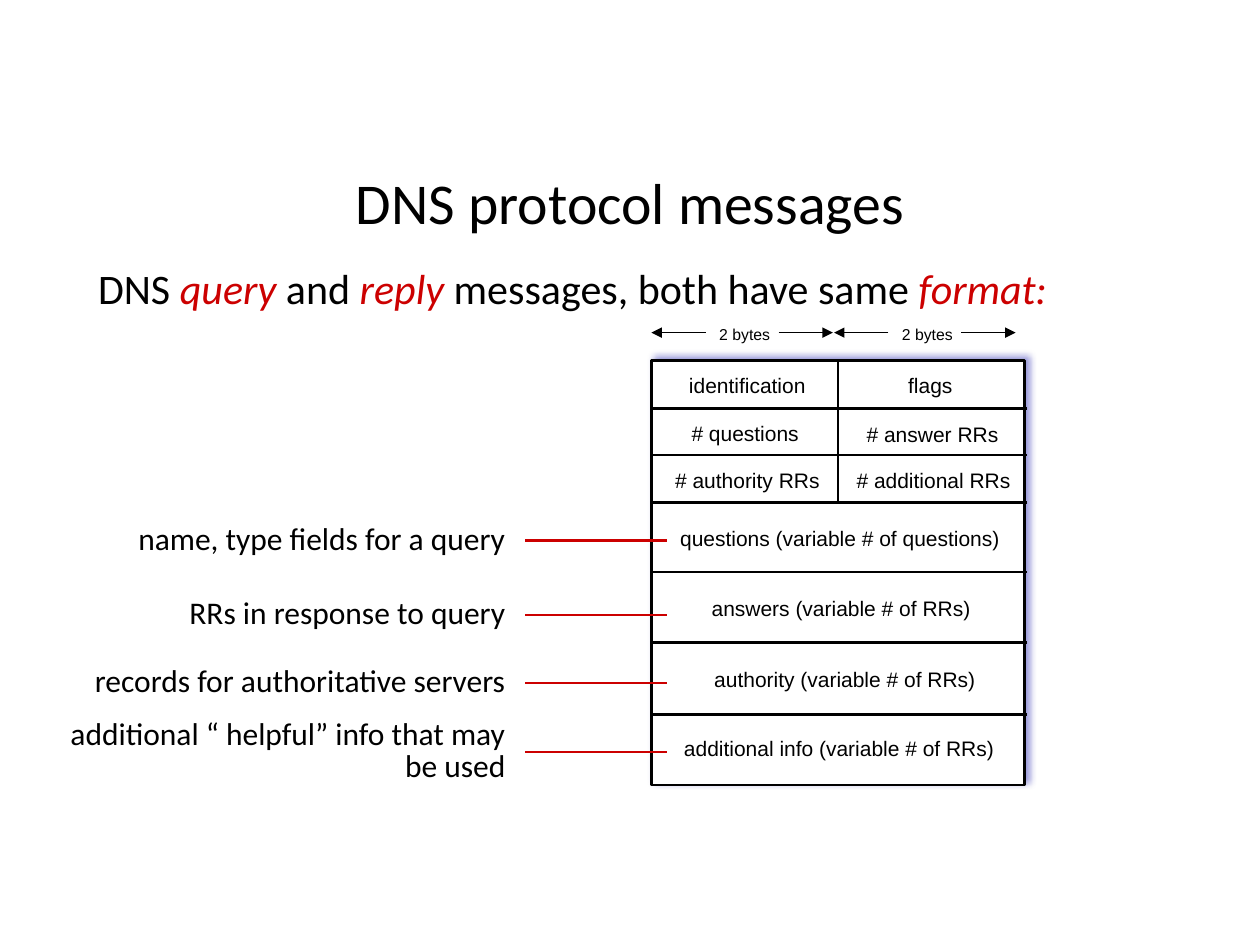
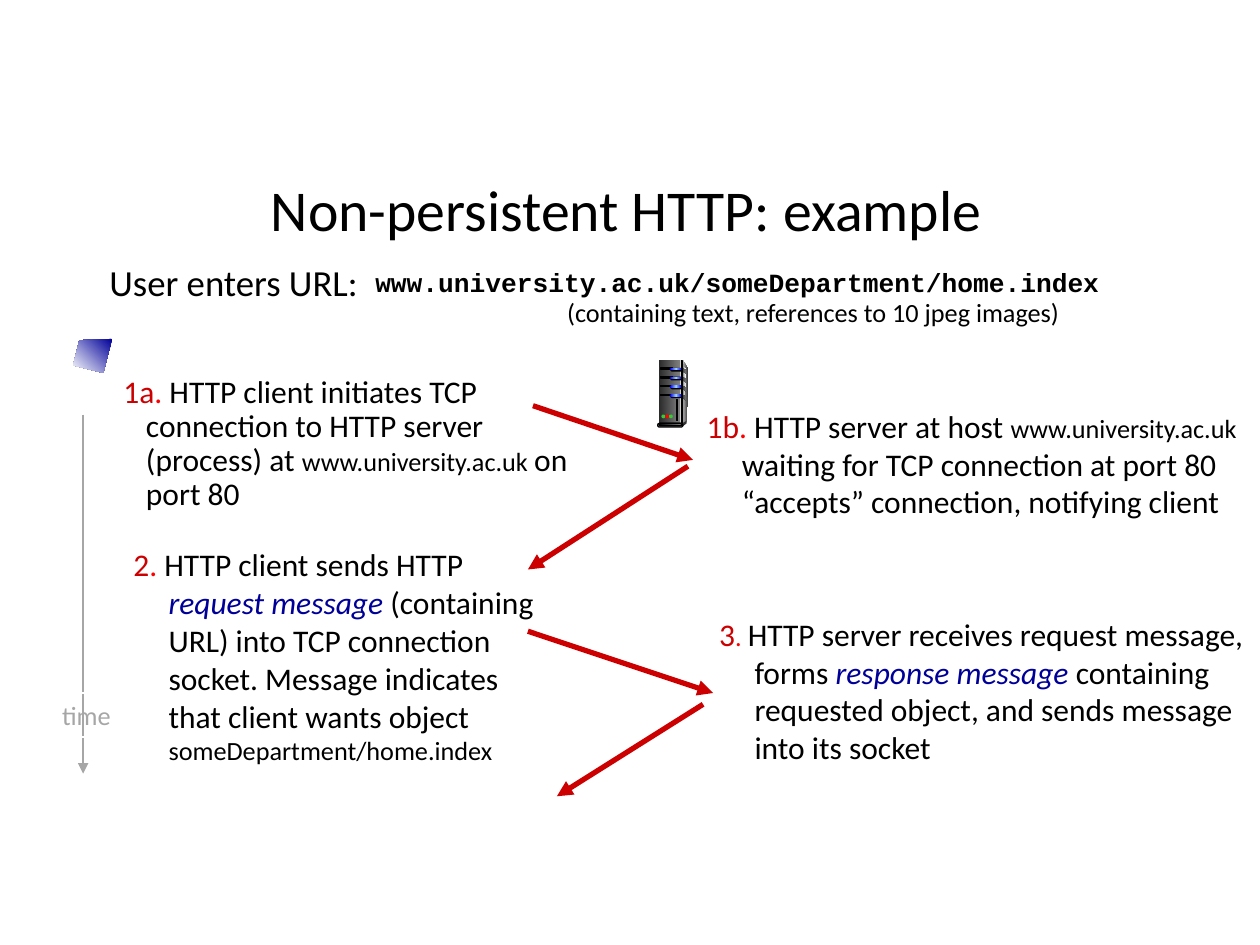
"""Build two network protocol slides: DNS message format and an HTTP example."""
import pptx
import pptx.dml.color
import pptx.enum.shapes
import pptx.enum.text
import pptx.oxml
import pptx.oxml.ns
import pptx.util
from lxml import etree

Inches = pptx.util.Inches
Pt = pptx.util.Pt
Kind = pptx.enum.shapes.MSO_SHAPE
Align = pptx.enum.text.PP_ALIGN
Anchor = pptx.enum.text.MSO_ANCHOR
Fit = pptx.enum.text.MSO_AUTO_SIZE
qn = pptx.oxml.ns.qn

BLACK, WHITE, RED, DOT, NAVY, GREY = "000000", "FFFFFF", "CC0000", "FF0000", "000099", "A6A6A6"
DARK, MID, PALE, COAL = "292929", "808080", "DDDDDD", "333333"
GLOW = ["0000FF", "99CCFF", "0000FF"]
ITAL = {"italic": True}


def rgb(code):
    """Turn a hex string into a colour."""
    return pptx.dml.color.RGBColor.from_string(code)


def put(item, values):
    """Set every attribute named in a dict."""
    for name, value in values.items():
        setattr(item, name, value)


def paint(shape, fill=None, line=None, width=0.75, angle=0):
    """Set fill (one colour, a gradient list or none) and outline."""
    shape.shadow.inherit = False
    if isinstance(fill, list):
        shape.fill.gradient()
        shape.fill.gradient_angle = angle
        stops = shape._element.spPr.find(".//" + qn("a:gsLst"))
        for stop in list(stops):
            stops.remove(stop)
        for i, code in enumerate(fill):
            stop = etree.SubElement(stops, qn("a:gs"), pos=str(100000 * i // (len(fill) - 1)))
            etree.SubElement(stop, qn("a:srgbClr"), val=code)
    elif fill:
        shape.fill.solid()
        shape.fill.fore_color.rgb = rgb(fill)
    else:
        shape.fill.background()
    if line:
        shape.line.color.rgb = rgb(line)
        shape.line.width = Pt(width)
    else:
        shape.line.fill.background()


def block(shapes, kind, box, fill=None, line=None, width=0.75):
    """Add a painted preset shape."""
    shape = shapes.add_shape(kind, *map(Inches, box))
    if kind == Kind.ROUNDED_RECTANGLE:
        shape.adjustments[0] = 0.5
    paint(shape, fill, line, width)
    return shape


def poly(shapes, x, y, points, fill, angle=0):
    """Add a closed outline whose points are offsets from x, y."""
    spots = [(Inches(x + dx), Inches(y + dy)) for dx, dy in points]
    maker = shapes.build_freeform(*spots[0])
    maker.add_line_segments(spots[1:], close=True)
    paint(maker.convert_to_shape(), fill, angle=angle)


def line(shapes, start, end, color=BLACK, width=1.5, arrow=False):
    """Add a straight line, with an arrowhead at its end on request."""
    ends = [Inches(v) for v in (*start, *end)]
    link = shapes.add_connector(pptx.enum.shapes.MSO_CONNECTOR.STRAIGHT, *ends)
    link.line.color.rgb = rgb(color)
    link.line.width = Pt(width)
    if arrow:
        etree.SubElement(link.line._get_or_add_ln(), qn("a:tailEnd"), type="triangle")
    etree.SubElement(link._element.spPr, qn("a:effectLst"))


def write(shape, runs, size, font="Calibri", para=None, frame=None, indent=None):
    """Fill a shape with one paragraph of (text, colour, format) runs."""
    put(shape.text_frame, {"word_wrap": True, **(frame or {})})
    first = shape.text_frame.paragraphs[0]
    if indent:
        props = first._p.get_or_add_pPr()
        for key, value in zip(("marL", "indent"), indent):
            props.set(key, str(Inches(value)))
    put(first, {"alignment": Align.LEFT, **(para or {})})
    for words, color, look in runs:
        run = first.add_run()
        run.text = words
        put(run.font, {"size": Pt(size), "name": font, **look})
        run.font.color.rgb = rgb(color)


def text(shapes, box, runs, size, **look):
    """Add a text box; a plain string becomes one black run."""
    if isinstance(runs, str):
        runs = [(runs, BLACK, {})]
    write(shapes.add_textbox(*map(Inches, box)), runs, size, **look)


def page(deck, title, left, top):
    """Add a title-only slide with its title in place."""
    slide = deck.slides.add_slide(deck.slide_layouts[5])
    head = slide.shapes.title
    put(head, dict(zip(("left", "top", "width", "height"), map(Inches, (left, top, 8.62, 0.73)))))
    write(head, [(title, BLACK, {})], 33, para={"alignment": Align.CENTER},
          frame={"vertical_anchor": Anchor.MIDDLE, "auto_size": Fit.NONE})
    return slide.shapes


def ruler(shapes, x, y):
    """Draw a two-byte width mark with its outward arrows."""
    text(shapes, (x + 0.44, y - 0.11, 0.61, 0.25), "2 bytes", 9, font="Arial",
         frame={"word_wrap": False, "auto_size": Fit.SHAPE_TO_FIT_TEXT})
    for start, end in ((1.01, 1.44), (0.43, 0)):
        line(shapes, (x + start, y), (x + end, y), width=0.75, arrow=True)


def record(shapes, x, y):
    """Draw the message layout with its fields and width marks."""
    wide, tall, half = 2.96, 3.37, 1.48
    frame = block(shapes, Kind.RECTANGLE, (x, y, wide, tall), WHITE, BLACK, 1.5)
    glow = frame._element.spPr.find(qn("a:effectLst"))
    cast = etree.SubElement(glow, qn("a:outerShdw"), blurRad=str(Pt(4)), dist=str(Pt(3)),
                            dir="18900000", algn="ctr", rotWithShape="0")
    tint = etree.SubElement(cast, qn("a:srgbClr"), val="0000A3")
    etree.SubElement(tint, qn("a:alpha"), val="40000")
    for drop in (0.38, 0.75, 1.13, 1.68, 2.24, 2.81):
        line(shapes, (x - 0.01, y + drop), (x + wide + 0.02, y + drop))
    line(shapes, (x + half, y), (x + half, y + 1.13))
    fields = [("identification", 0.2, 0.05, 1.13), ("flags", 1.94, 0.05, 0.56),
              ("# questions", 0.22, 0.43, 1.06), ("# answer RRs", 1.61, 0.44, 1.26),
              ("# authority RRs", 0.09, 0.8, 1.36), ("# additional RRs", 1.53, 0.8, 1.43),
              ("questions (variable # of questions)", 0.13, 1.26, 2.76),
              ("answers (variable # of RRs)", 0.38, 1.82, 2.27),
              ("authority (variable # of RRs)", 0.4, 2.38, 2.29),
              ("additional info (variable # of RRs)", 0.16, 2.93, 2.68)]
    for words, dx, dy, width in fields:
        text(shapes, (x + dx, y + dy, width, 0.3), words, 12, font="Arial",
             frame={"word_wrap": False, "auto_size": Fit.SHAPE_TO_FIT_TEXT})
    for dx in (0, 1.45):
        ruler(shapes, x + dx, y - 0.22)


def note(shapes, x, y, words, tall=0.36):
    """Write a right-aligned note centred on y, with a red pointer."""
    text(shapes, (x, y - tall / 2, 3.78, tall), words, 18,
         para={"alignment": Align.RIGHT, "line_spacing": 0.85},
         frame={"vertical_anchor": Anchor.MIDDLE, "auto_size": Fit.SHAPE_TO_FIT_TEXT})
    line(shapes, (x + 4.96, y), (x + 3.84, y), RED)


def dns(deck):
    """Build the DNS message slide."""
    shapes = page(deck, "DNS protocol messages", 0.69, 1.23)
    text(shapes, (0.57, 2.08, 8.52, 0.42),
         [("DNS ", BLACK, {}), ("query ", RED, ITAL), ("and ", BLACK, {}), ("reply", RED, ITAL),
          (" messages, both have same ", BLACK, {}), ("format:", RED, ITAL)],
         24, para={"line_spacing": 0.9}, indent=(0.11, 0))
    record(shapes.add_group_shape().shapes, 5.17, 2.86)
    note(shapes, 0.33, 4.29, "name, type fields for a query")
    note(shapes, 0.33, 4.88, "RRs in response to query")
    note(shapes, 0.33, 5.42, "records for authoritative servers")
    note(shapes, 0.33, 5.97, "additional “ helpful” info that may be used", 0.62)


def server(shapes, x, y):
    """Draw a small server tower."""
    rect, pill, oval = Kind.RECTANGLE, Kind.ROUNDED_RECTANGLE, Kind.OVAL
    poly(shapes, x, y, [(0.2, 0), (0.24, 0.07), (0.23, 0.48), (0.19, 0.5)], [PALE, COAL])
    block(shapes, rect, (x + 0.01, y, 0.17, 0.5), [DARK, MID])
    poly(shapes, x, y, [(0.2, 0.03), (0.22, 0.07), (0.21, 0.48), (0.2, 0.49)], [MID, "F8F8F8"])
    for i in range(4):
        top = y + 0.06 + 0.07 * i
        block(shapes, rect, (x + 0.02, top, 0.1, 0.01), BLACK, BLACK)
        block(shapes, pill, (x + 0.1, top, 0.1, 0.03), BLACK)
        block(shapes, pill, (x + 0.1, top, 0.09, 0.02), GLOW)
        poly(shapes, x + 0.19, top, [(0, 0), (0.04, 0.02), (0.04, 0.05), (0, 0.02)], [DARK, MID])
    block(shapes, rect, (x + 0.19, y, 0.01, 0.5), [COAL, PALE, COAL], BLACK)
    poly(shapes, x, y, [(0.19, 0.5), (0.19, 0.53), (0.23, 0.5), (0.23, 0.48)], COAL)
    block(shapes, pill, (x, y + 0.5, 0.2, 0.03), PALE, BLACK)
    block(shapes, pill, (x + 0.01, y + 0.5, 0.18, 0.02), [BLACK, MID], BLACK)
    for i, color in enumerate(("33CC33", "FF0000", "33CC33")):
        block(shapes, oval, (x + 0.03 + 0.03 * i, y + 0.43, 0.03, 0.03), color)
    block(shapes, rect, (x + 0.15, y + 0.31, 0.01, 0.17), DARK, BLACK)


def step(shapes, box, mark, runs, indent=(0.28, -0.28), dot=(".", DOT, {}), **look):
    """Write a step that starts with a red number."""
    text(shapes, box, [(mark, RED, {}), dot, *runs], 18, indent=indent, **look)


def clock(shapes, x, y):
    """Draw the time axis and its label."""
    line(shapes, (x, y), (x, y + 2.85), GREY, arrow=True)
    label = block(shapes, Kind.RECTANGLE, (x - 0.27, y + 2.21, 0.59, 0.35), line=WHITE)
    write(label, [("time", GREY, {})], 15, para={"alignment": Align.CENTER},
          frame={"word_wrap": False, "auto_size": Fit.SHAPE_TO_FIT_TEXT})


def http(deck):
    """Build the non-persistent HTTP slide."""
    shapes = page(deck, "Non-persistent HTTP: example", 0.66, 1.29)
    small, tight = {"size": Pt(15)}, {"line_spacing": 0.9}
    clock(shapes, 0.66, 3.29)
    text(shapes, (0.66, 2.05, 6.51, 0.38), "User enters URL:", 21,
         para=tight, indent=(0.29, -0.18))
    step(shapes, (0.77, 2.94, 3.98, 1.56), "1a",
         [(" HTTP client initiates TCP connection to HTTP server (process) at ", BLACK, {}),
          ("www.university.ac.uk ", BLACK, small), ("on port 80", BLACK, {})],
         indent=(0.29, -0.18), para=tight)
    step(shapes, (0.96, 4.28, 3.46, 0.88), "2",
         [(" HTTP client sends HTTP ", BLACK, {}), ("request message", NAVY, ITAL),
          (" (containing URL) into TCP connection socket. Message indicates that client "
           "wants object ", BLACK, {}), ("someDepartment/home.index", BLACK, small)])
    step(shapes, (5.51, 3.18, 4.42, 1.23), "1b",
         [(" HTTP server at host ", BLACK, {}), ("www.university.ac.uk ", BLACK, small),
          ("waiting for TCP connection at port 80 “accepts” connection, notifying client",
           BLACK, {})])
    step(shapes, (5.61, 4.83, 4.42, 1.48), "3",
         [("HTTP server receives request message, forms ", BLACK, {}),
          ("response message", NAVY, ITAL),
          (" containing requested object, and sends message into its socket", BLACK, {})],
         dot=(". ", DOT, small))
    for start, end in (((4.23, 3.22), (5.5, 3.65)), ((5.46, 3.7), (4.19, 4.52)),
                       ((4.19, 5.01), (5.66, 5.5)), ((5.58, 5.59), (4.42, 6.32))):
        line(shapes, start, end, RED, 3, True)
    text(shapes, (3.84, 2.3, 5.23, 0.35), "(containing text, references to 10 jpeg images)", 15,
         para={"alignment": Align.CENTER}, frame={"auto_size": Fit.SHAPE_TO_FIT_TEXT})
    text(shapes, (2.88, 2.1, 6.51, 0.38),
         [("www.university.ac.uk/someDepartment/home.index", BLACK, {"bold": True})], 15,
         font="Courier New", para={"line_spacing": 0.85}, indent=(0.28, -0.28))
    poly(shapes, 0.58, 2.69, [(0.31, 0), (0.05, 0.01), (0, 0.21), (0.24, 0.27)],
         [NAVY, WHITE], 225)
    server(shapes.add_group_shape().shapes, 5.22, 2.86)


def main():
    """Create the deck and save it."""
    deck = pptx.Presentation()
    put(deck, {"slide_width": Inches(10), "slide_height": Inches(7.5)})
    dns(deck)
    http(deck)
    deck.save("out.pptx")


if __name__ == "__main__":
    main()
